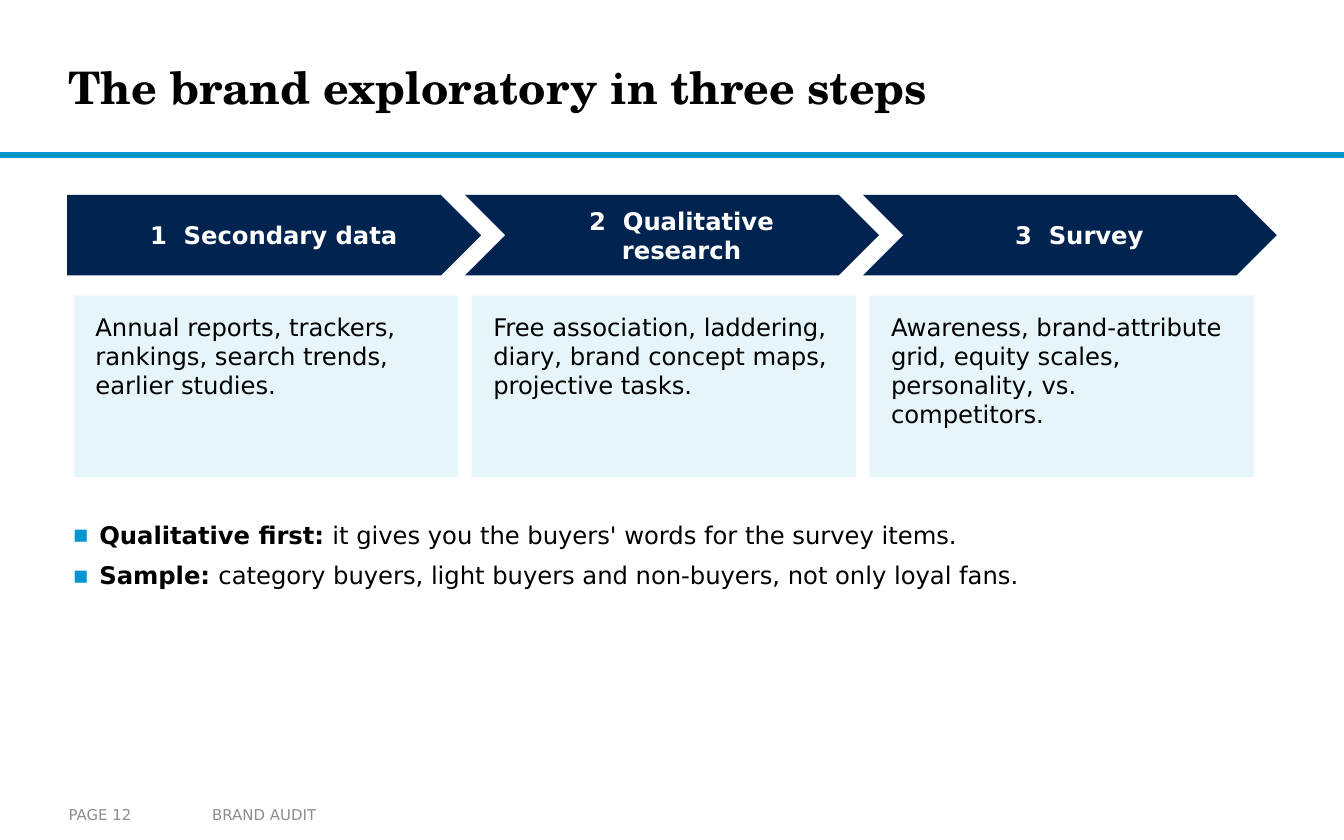
from lxml import etree
from pptx import Presentation
from pptx.dml.color import RGBColor
from pptx.enum import shapes, text
from pptx.oxml.ns import qn
from pptx.util import Inches, Pt

NAVY, BLUE, PALE, GREY = "002350", "0096D3", "E5F5FA", "8C8C8C"
SANS, SERIF = "DejaVu Sans", "TeX Gyre Schola"
MIDDLE = text.MSO_ANCHOR.MIDDLE


def rgb(value):
    return RGBColor.from_string(value)


def write(sp, lines, size, color="000000", bold=False, font=SANS,
          ins=(0.04, 0.02, 0.04, 0.02), anchor=text.MSO_ANCHOR.TOP):
    """Fill a shape with one paragraph per line and format its runs."""
    tf = sp.text_frame
    tf.word_wrap = True
    tf.vertical_anchor = anchor
    tf.margin_left, tf.margin_top, tf.margin_right, tf.margin_bottom = map(Inches, ins)
    tf.text = "\n".join(lines)
    for p in tf.paragraphs:
        for r in p.runs:
            r.font.name, r.font.size, r.font.bold = font, Pt(size), bold
            r.font.color.rgb = rgb(color)
    return tf


prs = Presentation()
prs.slide_width, prs.slide_height = Inches(10), Inches(6.25)
s = prs.slides.add_slide(prs.slide_layouts[6])

# Rule under the title
rule = s.shapes.add_shape(shapes.MSO_SHAPE.RECTANGLE, Inches(0), Inches(1.14), Inches(10), Inches(0.03))
rule.shadow.inherit = False
rule.fill.solid()
rule.fill.fore_color.rgb = rgb("0C94B7")
rule.line.color.rgb = rgb(BLUE)
rule.line.width = Pt(1)

# Title
title = s.shapes.add_textbox(Inches(0.51), Inches(0.15), Inches(7.48), Inches(0.99))
write(title, ["The brand exploratory in three steps"], 24, bold=True, font=SERIF,
      ins=(0, 0, 0, 0), anchor=MIDDLE)

# Footer
for label, left, width, pad in [("BRAND AUDIT", 1.48, 3.52, 0.1), ("PAGE 12", 0.51, 0.98, 0)]:
    footer = s.shapes.add_textbox(Inches(left), Inches(5.92), Inches(width), Inches(0.28))
    write(footer, [label], 8, GREY, ins=(pad, 0.05, pad, 0.05), anchor=MIDDLE)

# Three steps: arrow on top, panel and description below
steps = [
    ("1  Secondary data", "Annual reports, trackers, rankings, search trends, earlier studies."),
    ("2  Qualitative research", "Free association, laddering, diary, brand concept maps, projective tasks."),
    ("3  Survey", "Awareness, brand-attribute grid, equity scales, personality, vs. competitors."),
]
for i, (name, detail) in enumerate(steps):
    left = 0.5 + i * 2.96
    kind = shapes.MSO_SHAPE.CHEVRON if i else shapes.MSO_SHAPE.PENTAGON
    arrow = s.shapes.add_shape(kind, Inches(left), Inches(1.45), Inches(3.08), Inches(0.6))
    panel = s.shapes.add_shape(shapes.MSO_SHAPE.RECTANGLE, Inches(left + 0.05), Inches(2.2),
                               Inches(2.86), Inches(1.35))
    for sp, color in ((arrow, NAVY), (panel, PALE)):
        sp.shadow.inherit = False
        sp.fill.solid()
        sp.fill.fore_color.rgb = rgb(color)
        sp.line.fill.background()
    tf = write(arrow, [name], 13, "FFFFFF", bold=True, ins=(0.22, 0.05, 0.08, 0.05), anchor=MIDDLE)
    tf.paragraphs[0].alignment = text.PP_ALIGN.CENTER
    box = s.shapes.add_textbox(Inches(left + 0.17), Inches(2.3), Inches(2.62), Inches(1.2))
    write(box, [detail], 13)

# Bullets with a bold lead-in
notes = [
    ("Qualitative first: ", "it gives you the buyers' words for the survey items."),
    ("Sample: ", "category buyers, light buyers and non-buyers, not only loyal fans."),
]
box = s.shapes.add_textbox(Inches(0.5), Inches(3.85), Inches(9), Inches(0.9))
tf = write(box, [lead for lead, _ in notes], 13, bold=True)
for p, (_, rest) in zip(tf.paragraphs, notes):
    p.space_after = Pt(6)
    pPr = p._p.get_or_add_pPr()
    pPr.set("marL", str(Inches(0.2)))
    pPr.set("indent", str(-Inches(0.2)))
    bu_color = etree.SubElement(pPr, qn("a:buClr"))
    etree.SubElement(bu_color, qn("a:srgbClr"), val=BLUE)
    etree.SubElement(pPr, qn("a:buFont"), typeface=SANS)
    etree.SubElement(pPr, qn("a:buChar"), char="▪")
    r = p.add_run()
    r.text = rest
    r.font.name, r.font.size, r.font.bold = SANS, Pt(13), False
    r.font.color.rgb = rgb("000000")

prs.save("out.pptx")
